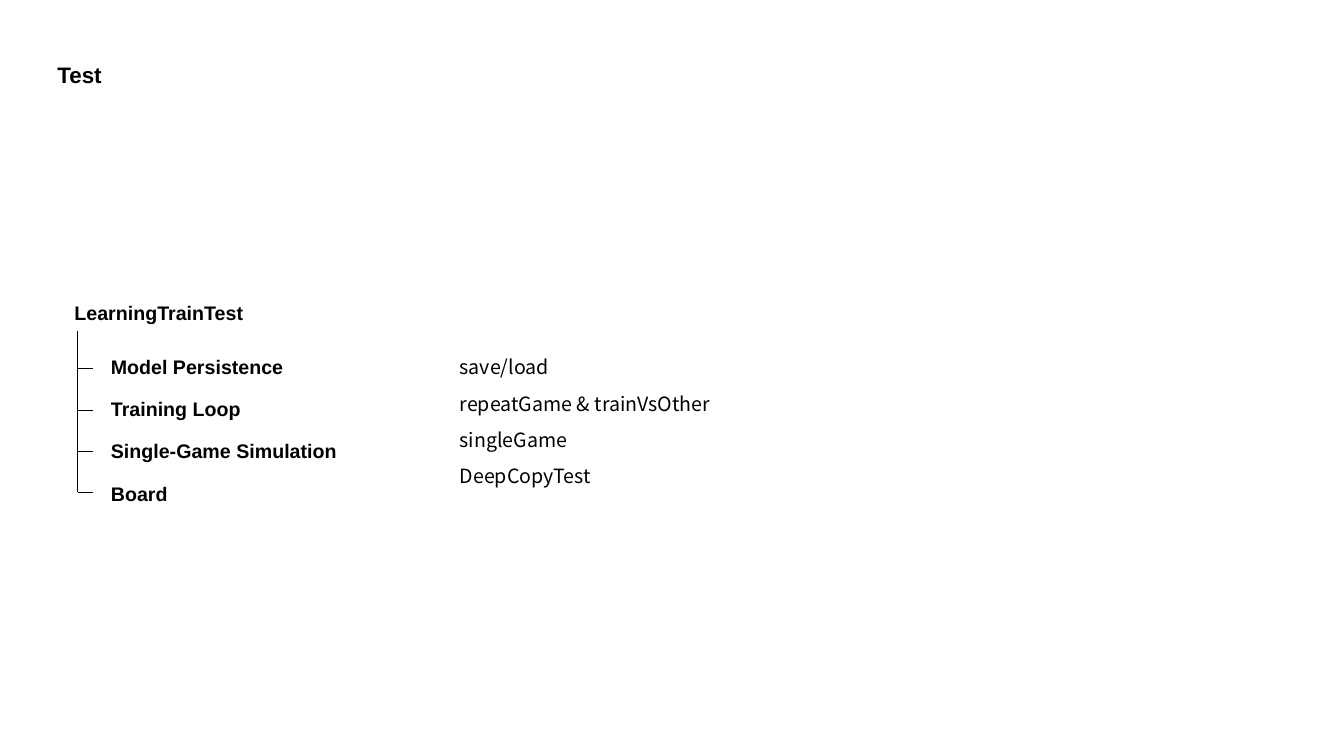
from dataclasses import dataclass

from lxml.etree import SubElement
from pptx import Presentation
from pptx.dml.color import RGBColor
from pptx.enum.shapes import MSO_CONNECTOR
from pptx.enum.text import MSO_ANCHOR, MSO_AUTO_SIZE, PP_ALIGN
from pptx.oxml.ns import qn
from pptx.slide import Slide
from pptx.util import Pt


@dataclass(frozen=True)
class Theme:
    ink: RGBColor = RGBColor(0, 0, 0)
    heading_font: str = "Arial"
    detail_font: str = "Noto Sans CJK SC"
    title_size: float = 16
    text_size: float = 14
    line_width: float = 0.5


@dataclass(frozen=True)
class TextStyle:
    font: str
    size: float
    bold: bool
    gap: float = 0  # space after each paragraph


@dataclass(frozen=True)
class Box:
    left: float
    top: float
    width: float
    height: float


@dataclass(frozen=True)
class TestCase:
    area: str
    target: str


THEME = Theme()
ROW_PITCH = 29.5
# Line heights of the two fonts at text size, so both columns share one pitch
AREA_LINE, TARGET_LINE = 16.1, 20.3

TITLE_STYLE = TextStyle(THEME.heading_font, THEME.title_size, True)
SUITE_STYLE = TextStyle(THEME.heading_font, THEME.text_size, True)
AREA_STYLE = TextStyle(THEME.heading_font, THEME.text_size, True, ROW_PITCH - AREA_LINE)
TARGET_STYLE = TextStyle(THEME.detail_font, THEME.text_size, False, ROW_PITCH - TARGET_LINE)

TEST_CASES = [
    TestCase("Model Persistence", "save/load"),
    TestCase("Training Loop", "repeatGame & trainVsOther"),
    TestCase("Single-Game Simulation", "singleGame"),
    TestCase("Board", "DeepCopyTest"),
]

TRUNK_X, TRUNK_TOP = 55.4, 236.2
FIRST_BRANCH_Y, BRANCH_LENGTH = 263.3, 11


def fill_text(shape, box: Box, lines: list[str], style: TextStyle) -> None:
    """Place a text shape and write one paragraph per line."""
    shape.left, shape.top = Pt(box.left), Pt(box.top)
    shape.width, shape.height = Pt(box.width), Pt(box.height)
    frame = shape.text_frame
    frame.text = "\n".join(lines)
    frame.word_wrap = True
    frame.auto_size = MSO_AUTO_SIZE.NONE
    frame.vertical_anchor = MSO_ANCHOR.TOP
    for paragraph in frame.paragraphs:
        paragraph.alignment = PP_ALIGN.LEFT
        paragraph.line_spacing = 1.0
        paragraph.space_before = Pt(0)
        paragraph.space_after = Pt(style.gap)
        properties = paragraph._p.get_or_add_pPr()
        properties.set("marL", "0")
        properties.set("indent", "0")
        SubElement(properties, qn("a:buNone"))
        for run in paragraph.runs:
            run.font.name = style.font
            run.font.size = Pt(style.size)
            run.font.bold = style.bold
            run.font.color.rgb = THEME.ink


def draw_line(slide: Slide, x1: float, y1: float, x2: float, y2: float) -> None:
    line = slide.shapes.add_connector(
        MSO_CONNECTOR.STRAIGHT, Pt(x1), Pt(y1), Pt(x2), Pt(y2)
    )
    line.line.color.rgb = THEME.ink
    line.line.width = Pt(THEME.line_width)
    SubElement(line._element.spPr, qn("a:effectLst"))


def main() -> None:
    deck = Presentation()
    deck.slide_width, deck.slide_height = Pt(960), Pt(540)
    slide = deck.slides.add_slide(deck.slide_layouts[3])
    title, areas, targets = slide.placeholders

    # Title and suite name
    fill_text(title, Box(33.8, 40.3, 282.2, 26.6), ["Test"], TITLE_STYLE)
    suite = slide.shapes.add_textbox(0, 0, 0, 0)
    fill_text(suite, Box(46.1, 211.7, 282.2, 24.5), ["LearningTrainTest"], SUITE_STYLE)

    # Tested areas and what each one covers
    list_height = ROW_PITCH * len(TEST_CASES)
    fill_text(areas, Box(72, 249.8, 177.1, list_height),
              [case.area for case in TEST_CASES], AREA_STYLE)
    fill_text(targets, Box(321.1, 250, 282.2, list_height),
              [case.target for case in TEST_CASES], TARGET_STYLE)

    # Tree: trunk and one branch per area
    branches = [FIRST_BRANCH_Y + row * ROW_PITCH for row in range(len(TEST_CASES))]
    draw_line(slide, TRUNK_X, TRUNK_TOP, TRUNK_X, branches[-1])
    for y in branches:
        draw_line(slide, TRUNK_X, y, TRUNK_X + BRANCH_LENGTH, y)

    deck.save("out.pptx")


if __name__ == "__main__":
    main()
